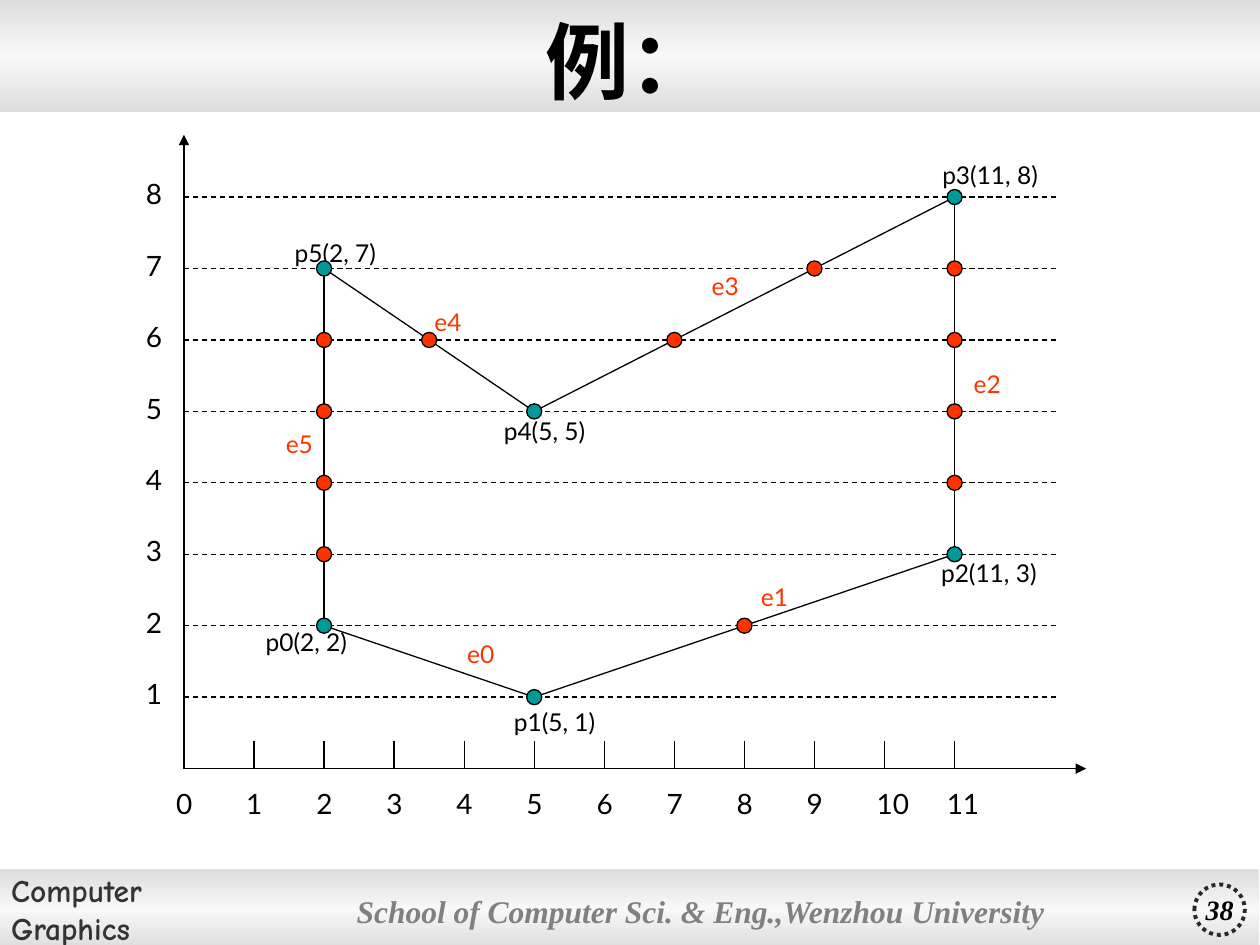
from copy import deepcopy
from dataclasses import dataclass
from lxml import etree
from pptx import Presentation
from pptx.dml.color import RGBColor
from pptx.enum.dml import MSO_LINE
from pptx.enum.shapes import MSO_CONNECTOR, MSO_SHAPE
from pptx.enum.text import MSO_ANCHOR, PP_ALIGN
from pptx.oxml.ns import qn
from pptx.util import Inches, Pt


@dataclass(frozen=True)
class Theme:
    black: str = "000000"
    teal: str = "009999"
    red: str = "FF3300"
    band_edge: str = "DDDDDD"
    band_middle: str = "F8F8F8"
    course: str = "333333"
    school: str = "808080"
    ring: str = "292929"
    sans: str = "Lato"
    serif: str = "Times New Roman"
    comic: str = "Comic Neue"
    title_size: int = 48
    footer_size: int = 18
    number_size: int = 16
    label_size: int = 14
    line_width: float = 0.75


T = Theme()


def write(sp, text, size, font=T.sans, color=T.black, bold=False, italic=False,
          align=PP_ALIGN.LEFT, wrap=True, anchor=MSO_ANCHOR.TOP):
    tf = sp.text_frame
    tf.text = text
    tf.word_wrap = wrap
    tf.vertical_anchor = anchor
    for p in tf.paragraphs:
        p.alignment = align
        for r in p.runs:
            r.font.size, r.font.name = Pt(size), font
            r.font.bold, r.font.italic = bold, italic
            r.font.color.rgb = RGBColor.from_string(color)


def draw_line(x1, y1, x2, y2, dashed=False, arrow=False):
    line = slide.shapes.add_connector(
        MSO_CONNECTOR.STRAIGHT, Inches(x1), Inches(y1), Inches(x2), Inches(y2))
    line.line.width = Pt(T.line_width)
    line.line.color.rgb = RGBColor.from_string(T.black)
    if dashed:
        line.line.dash_style = MSO_LINE.DASH
    if arrow:
        etree.SubElement(line.line._get_or_add_ln(), qn("a:tailEnd"), type="triangle")
    etree.SubElement(line._element.spPr, qn("a:effectLst"))


prs = Presentation()
prs.slide_width, prs.slide_height = Inches(10), Inches(7.5)
slide = prs.slides.add_slide(prs.slide_layouts[5])
shapes = slide.shapes

# Footer and header bands
bands = []
for left, top, height in ((-0.01, 6.9, 0.63), (0, 0, 0.89)):
    sp = shapes.add_shape(MSO_SHAPE.RECTANGLE, Inches(left), Inches(top), Inches(10), Inches(height))
    sp.shadow.inherit = False
    sp.line.fill.background()
    sp.fill.gradient()
    sp.fill.gradient_angle = 90
    stops = sp._element.spPr.find(qn("a:gradFill")).find(qn("a:gsLst"))
    stops.insert(1, deepcopy(stops[0]))
    colors = (T.band_edge, T.band_middle, T.band_edge)
    for stop, position, color in zip(sp.fill.gradient_stops, (0, 0.5, 1), colors):
        stop.position = position
        stop.color.rgb = RGBColor.from_string(color)
    bands.append(sp)
write(bands[0], "Computer\nGraphics", T.footer_size, T.comic, T.course, bold=True,
      wrap=False, anchor=MSO_ANCHOR.MIDDLE)

# School name and slide number
school = shapes.add_textbox(Inches(2.78), Inches(6.9), Inches(5.99), Inches(0.66))
write(school, "School of Computer Sci. & Eng.,Wenzhou University", T.footer_size, T.serif,
      T.school, bold=True, italic=True, wrap=False, anchor=MSO_ANCHOR.MIDDLE)
school.text_frame.margin_left = school.text_frame.margin_right = Inches(0.05)

ring = shapes.add_shape(MSO_SHAPE.OVAL, Inches(9.48), Inches(7.02), Inches(0.4), Inches(0.4))
ring.shadow.inherit = False
ring.fill.background()
ring.line.color.rgb = RGBColor.from_string(T.ring)
ring.line.width = Pt(2.25)
ring.line.dash_style = MSO_LINE.ROUND_DOT
write(ring, "38", T.number_size, T.serif, bold=True, italic=True, align=PP_ALIGN.CENTER,
      wrap=False, anchor=MSO_ANCHOR.MIDDLE)

# Title, raised above the header band
title = shapes.title
title.left, title.top, title.width, title.height = (Inches(v) for v in (0.51, 0.13, 8.98, 0.69))
write(title, "例：", T.title_size, T.serif, bold=True, align=PP_ALIGN.CENTER,
      anchor=MSO_ANCHOR.MIDDLE)
shapes._spTree.append(title._element)

# Axes, scan lines and ticks
X0, Y0 = 1.46, 6.1
DX, DY = 5.56 / 10, 5.67 / 10
X_MAX, Y_MAX = 11, 8
draw_line(X0, Y0, 8.62, Y0, arrow=True)
draw_line(X0, Y0, X0, 1.07, arrow=True)
for n in range(1, Y_MAX + 1):
    draw_line(X0, Y0 - n * DY, 8.39, Y0 - n * DY, dashed=True)
for n in range(1, X_MAX + 1):
    draw_line(X0 + n * DX, 5.88, X0 + n * DX, Y0)

# Polygon edges, and where the scan lines between their ends cross them
points = [(2, 2), (5, 1), (11, 3), (11, 8), (5, 5), (2, 7)]
crossings = []
for (xa, ya), (xb, yb) in zip(points, points[1:] + points[:1]):
    draw_line(X0 + xa * DX, Y0 - ya * DY, X0 + xb * DX, Y0 - yb * DY)
    for y in range(min(ya, yb) + 1, max(ya, yb)):
        crossings.append((xa + (xb - xa) * (y - ya) / (yb - ya), y))

# Labels: axis numbers, vertices, edges
labels = [(str(n), 1.3 + n * DX, 6.19, 0.31 if n < 10 else 0.47, T.number_size, T.black)
          for n in range(X_MAX + 1)]
labels += [(str(n), 1.06, 5.89 - n * DY, 0.31, T.number_size, T.black)
           for n in range(1, Y_MAX + 1)]
vertex_places = [(2.01, 4.93), (3.98, 5.56), (7.37, 4.38), (7.38, 1.22), (3.9, 3.25), (2.24, 1.84)]
labels += [(f"p{i}({x}, {y})", left, top, 1.02, T.label_size, T.black)
           for i, ((x, y), (left, top)) in enumerate(zip(points, vertex_places))]
edge_places = [(3.61, 5.02), (5.94, 4.57), (7.63, 2.88), (5.55, 2.1), (3.35, 2.39), (2.17, 3.36)]
labels += [(f"e{i}", left, top, 0.47, T.label_size, T.red)
           for i, (left, top) in enumerate(edge_places)]
for text, left, top, width, size, color in labels:
    height = 0.37 if size == T.number_size else 0.34
    box = shapes.add_textbox(Inches(left), Inches(top), Inches(width), Inches(height))
    write(box, text, size, color=color)

# Dots on vertices and crossings
DOT = 0.12
for places, color in ((points, T.teal), (crossings, T.red)):
    for x, y in places:
        dot = shapes.add_shape(MSO_SHAPE.OVAL, Inches(X0 + x * DX - DOT / 2),
                               Inches(Y0 - y * DY - DOT / 2), Inches(DOT), Inches(DOT))
        dot.shadow.inherit = False
        dot.fill.solid()
        dot.fill.fore_color.rgb = RGBColor.from_string(color)
        dot.line.color.rgb = RGBColor.from_string(T.black)
        dot.line.width = Pt(T.line_width)

prs.save("out.pptx")
